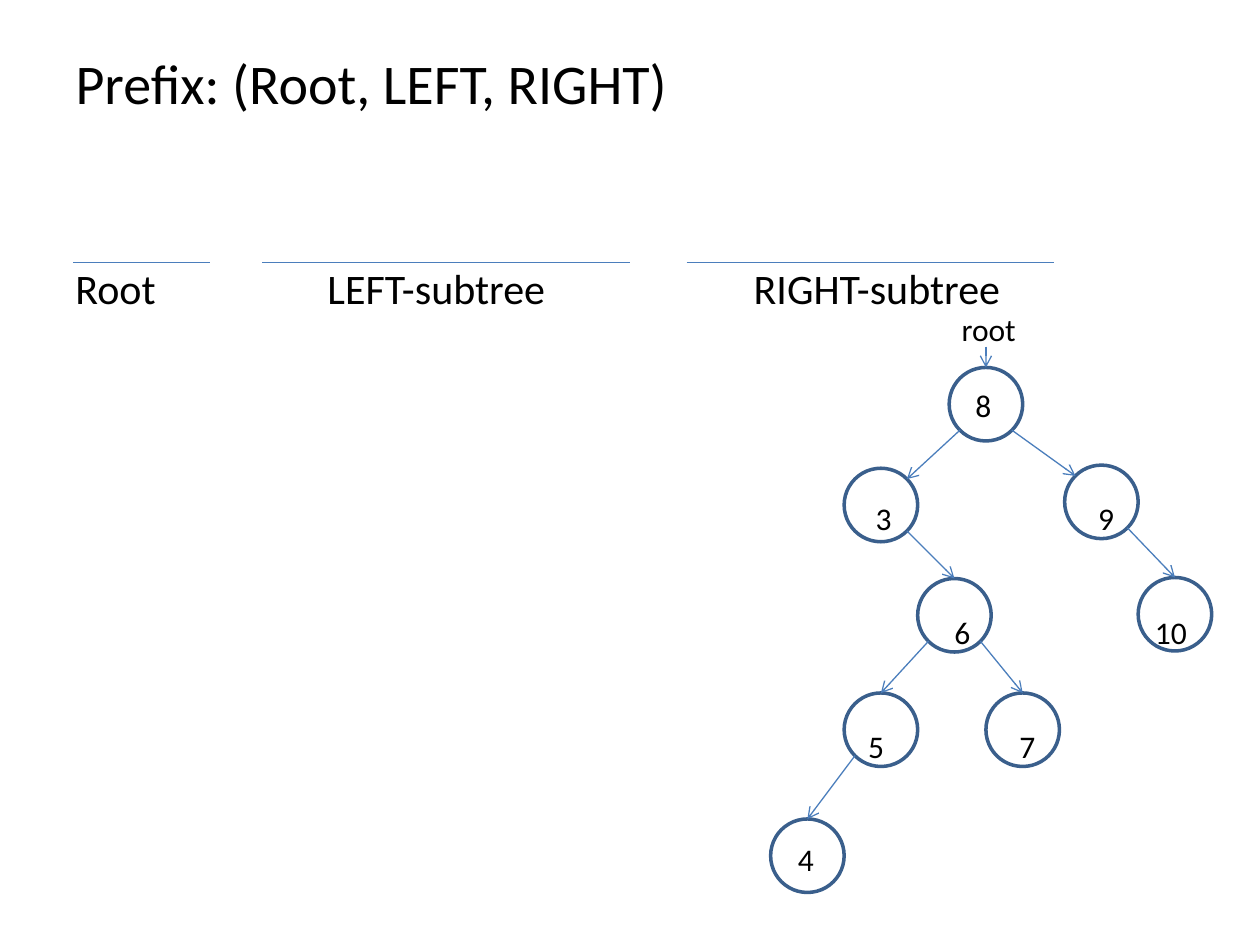
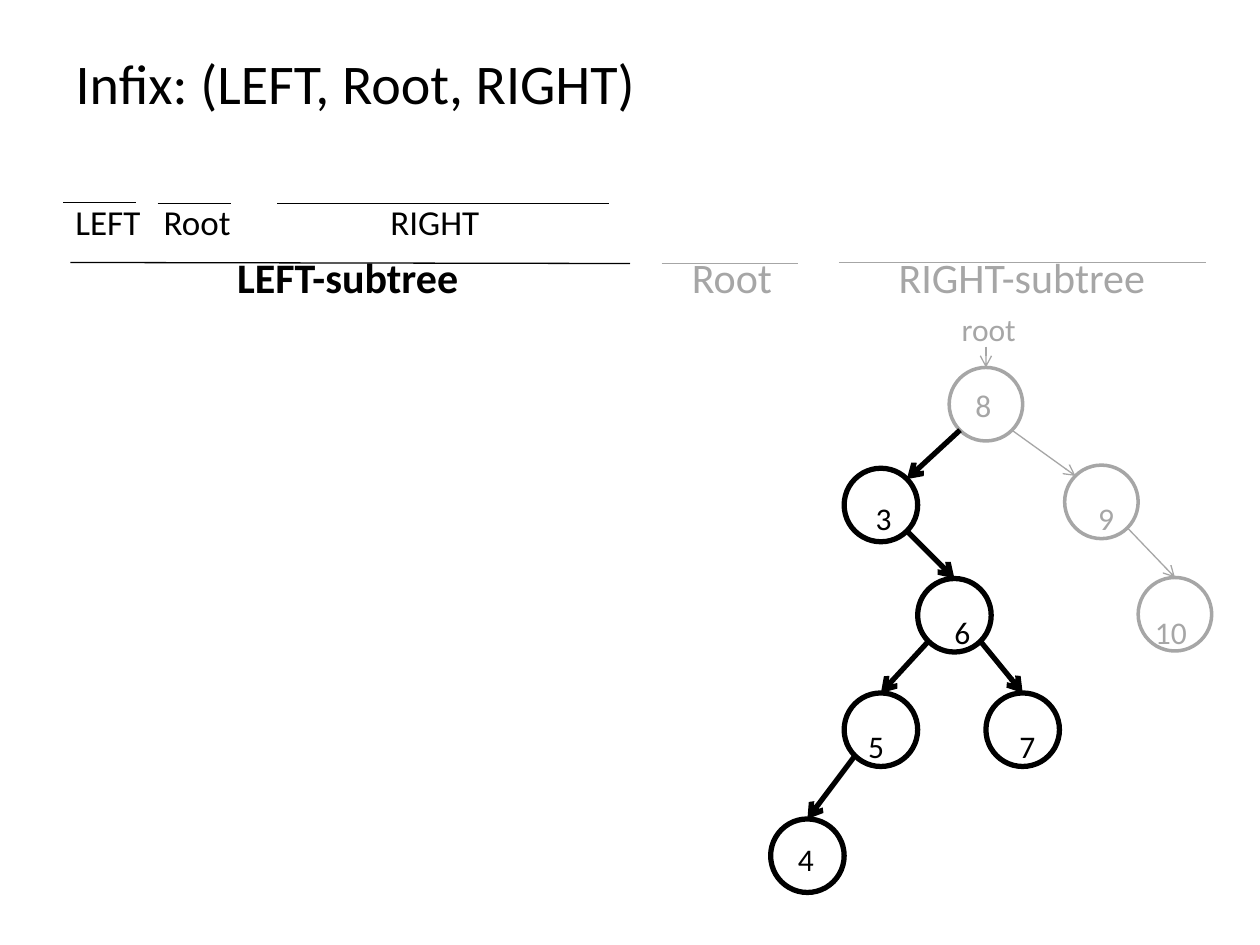
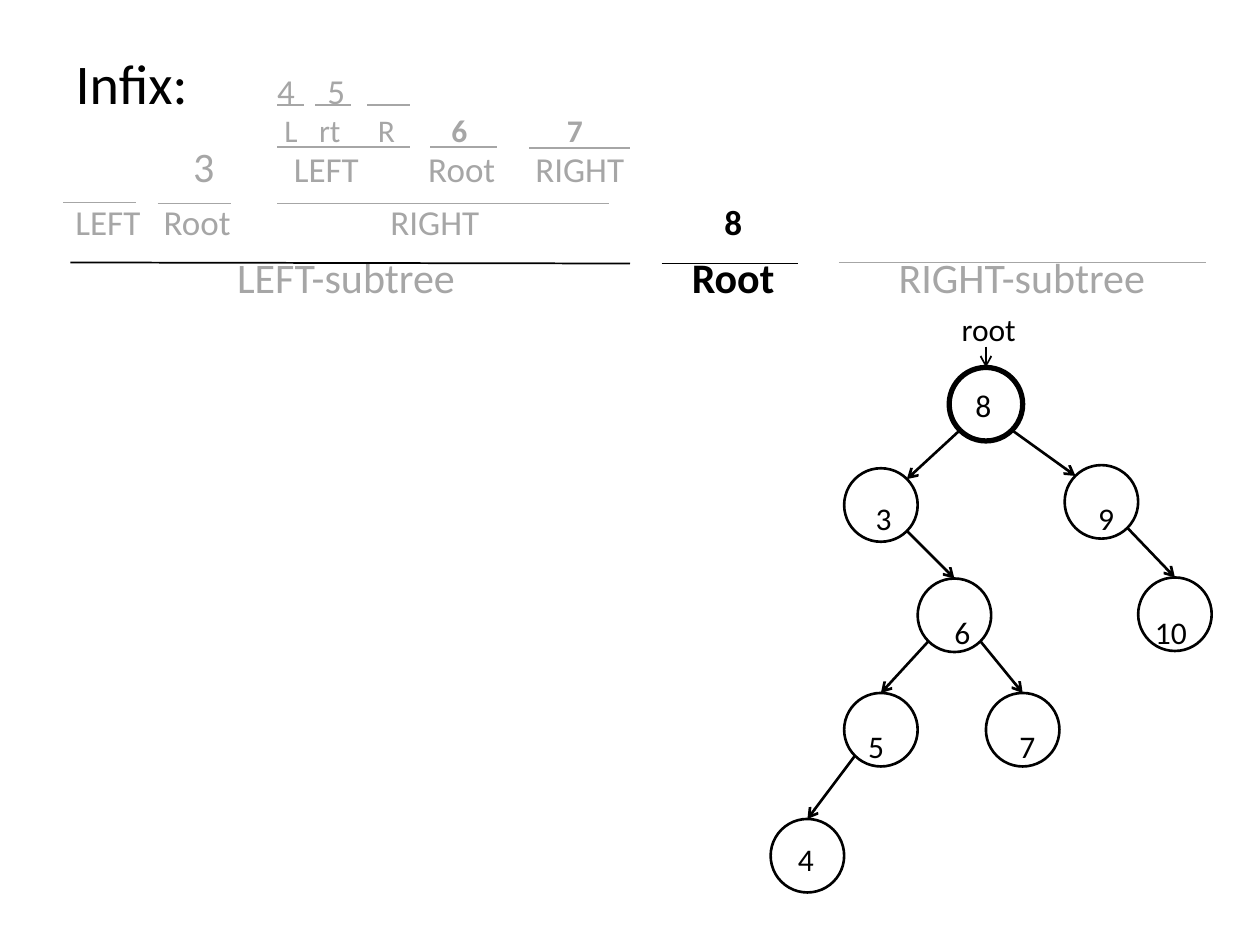
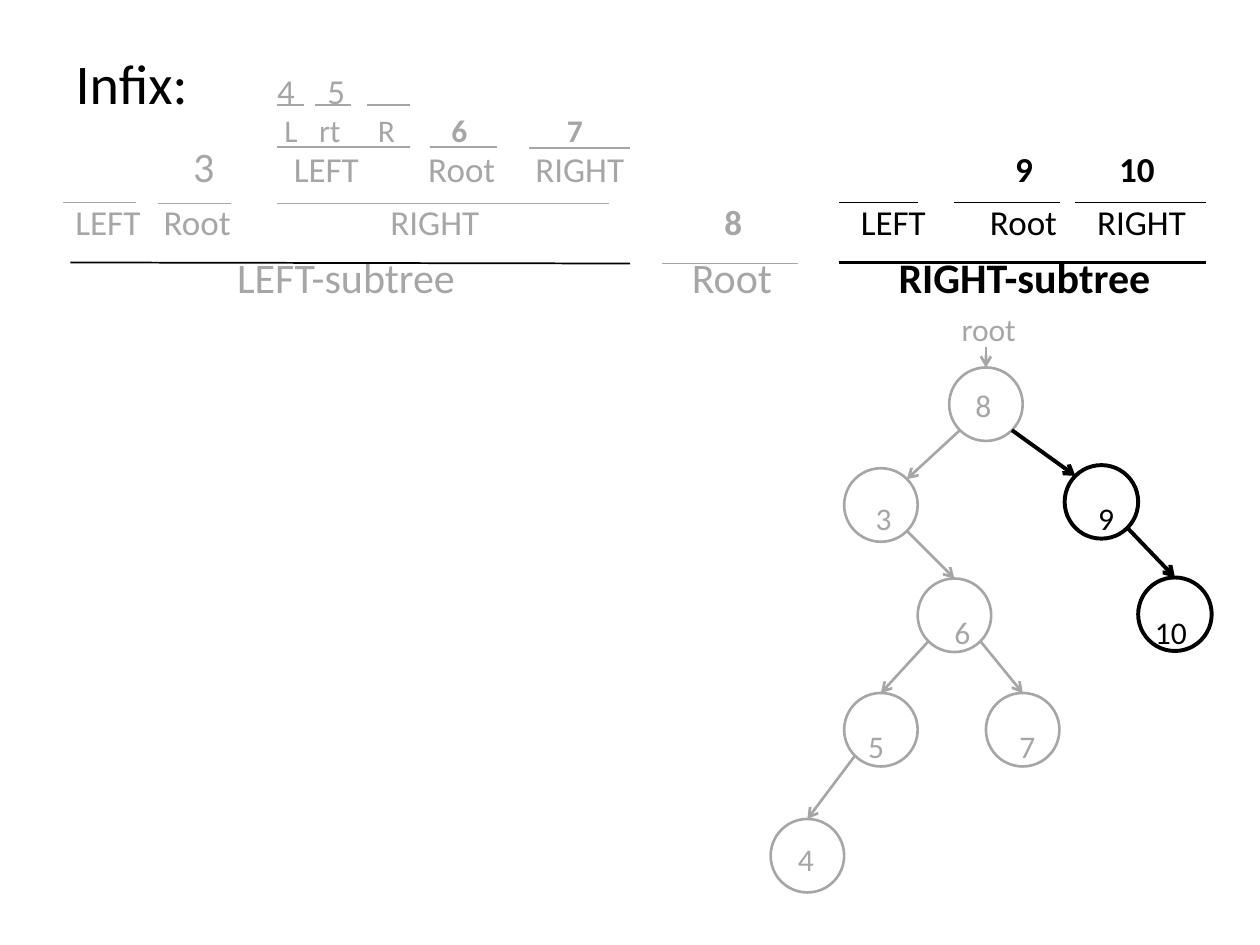
import pptx
import pptx.util
import pptx.dml.color
import pptx.enum.shapes
import pptx.enum.text
import pptx.oxml.ns
import lxml.etree

Pt = pptx.util.Pt
qn = pptx.oxml.ns.qn
hues = {"black": "000000", "gray": "A6A6A6", "ring": "3A5F8C", "edge": "4B7EBC"}
inks = {"k": "black", "g": "gray"}

deck = pptx.Presentation()
deck.slide_width = pptx.util.Inches(10)
deck.slide_height = pptx.util.Inches(7.5)
unit = deck.slide_width // 120


def write(frame, text, size=18, tabs=(0,), style="k", gap=0):
    first = not frame.text
    para = frame.paragraphs[0] if first else frame.add_paragraph()
    if any(tabs):
        stops = lxml.etree.SubElement(para._p.get_or_add_pPr(), qn("a:tabLst"))
    for word, tab, mark in zip(text.split("|"), tabs, style):
        if tab:
            lxml.etree.SubElement(stops, qn("a:tab"), pos=str(round(tab * unit)), algn="l")
        run = para.add_run()
        run.text = "\t" + word if tab else word
        run.font.name = "Calibri"
        run.font.size = Pt(size)
        run.font.bold = mark.isupper()
        run.font.color.rgb = pptx.dml.color.RGBColor.from_string(hues[inks[mark.lower()]])
    para.alignment = pptx.enum.text.PP_ALIGN.LEFT
    para.space_before = Pt(0 if first else gap)
    frame.word_wrap = True
    frame.auto_size = pptx.enum.text.MSO_AUTO_SIZE.NONE
    frame.vertical_anchor = pptx.enum.text.MSO_ANCHOR.TOP


def draw(slide, ends, hue, width, arrow=False):
    line = slide.shapes.add_connector(
        pptx.enum.shapes.MSO_CONNECTOR.STRAIGHT, *[round(n * unit) for n in ends])
    line.line.color.rgb = pptx.dml.color.RGBColor.from_string(hues[hue])
    line.line.width = Pt(width)
    if arrow:
        lxml.etree.SubElement(line.line._get_or_add_ln(), qn("a:tailEnd"), type="arrow")
    lxml.etree.SubElement(line._element.spPr, qn("a:effectLst"))


size = 7
bend = 2.47
nodes = {
    8: (90.4, 35), 3: (80.4, 44.6), 9: (101.4, 44.3), 6: (87.4, 55.1),
    5: (80.4, 66), 7: (93.9, 66), 10: (108.4, 55), 4: (73.4, 78),
}
edges = [(8, 3), (8, 9), (3, 6), (9, 10), (6, 7), (6, 5), (5, 4)]
tree = [
    ("root", (19.7,), (8,), 0), ("8", (21,), (8,), 22), ("3|9", (11.5, 32.7), (3, 9), 43.3),
    ("6|10", (19, 38.1), (6, 10), 43.3), ("5|7", (10.8, 25.2), (5, 7), 43.3),
    ("4", (4.1,), (4,), 43.3),
]

bars = {
    "prefix": [(7, 25, 20, 25), (25, 25, 60, 25), (65.4, 25, 100.4, 25)],
    "root": [(63, 25.1, 76, 25.1)],
    "left": [(6.7, 25, 60, 25.1)],
    "right": [(79.9, 25, 114.9, 25)],
    "left parts": [(6, 19.3, 13, 19.3), (15, 19.4, 22, 19.4), (26.4, 19.4, 58, 19.4)],
    "deep parts": [
        (26.4, 14, 39, 14), (41, 14, 47.3, 14), (50.4, 14.1, 60, 14.1),
        (26.4, 10, 29, 10), (30, 10, 33.4, 10), (35, 10, 39, 10)],
    "right parts": [(79.9, 19.3, 87.4, 19.3), (90.9, 19.3, 101, 19.3), (102.4, 19.3, 114.9, 19.3)],
}

high = dict(size=20, tabs=(11.2, 20.8, 33.6, 43.8, 89.5, 99.4))
mid = dict(size=20, tabs=(0, 8.4, 30, 61.8, 74.8, 87.1, 97.3), gap=5.5)
low = dict(size=24, tabs=(15.4, 58.7, 78.4), gap=5)
wide = dict(size=24, tabs=(0, 24, 64.6))
trio = "LEFT-subtree|Root|RIGHT-subtree"

views = [
    dict(title="Prefix: (Root, LEFT, RIGHT)", span=112, top=24.4, deep=False,
         rows=[("Root|LEFT-subtree|RIGHT-subtree", "kkk", wide)],
         bars=[("prefix", "edge", 0.75)],
         ring=("ring", 2), edge=("edge", 0.75), entry=0.75, ink="k", hot=(), bold=2),
    dict(title="Infix: (LEFT, Root, RIGHT)", span=112, top=18.5, deep=False,
         rows=[("LEFT|Root|RIGHT", "kkk", mid), (trio, "Kgg", low)],
         bars=[("root", "gray", 0.75), ("left", "black", 0.75), ("right", "gray", 0.75),
               ("left parts", "black", 0.75)],
         ring=("gray", 2), edge=("gray", 0.75), entry=0.75, ink="g",
         hot=(3, 6, 5, 7, 4), bold=3),
    dict(title="Infix:", span=18, top=12.8, deep=True,
         rows=[("3|LEFT|Root|RIGHT", "gggg", high), ("LEFT|Root|RIGHT|8", "gggK", mid),
               (trio, "gKg", low)],
         bars=[("root", "black", 0.75), ("left", "black", 1), ("right", "gray", 0.75),
               ("left parts", "gray", 0.75), ("deep parts", "gray", 0.75)],
         ring=("black", 1.5), edge=("black", 1.5), entry=1, ink="k", hot=(8,), bold=3),
    dict(title="Infix:", span=18, top=12.8, deep=True,
         rows=[("3|LEFT|Root|RIGHT|9|10", "ggggKK", high),
               ("LEFT|Root|RIGHT|8|LEFT|Root|RIGHT", "gggGkkk", mid), (trio, "ggK", low)],
         bars=[("root", "gray", 0.75), ("left", "black", 1), ("right", "black", 2.25),
               ("left parts", "gray", 0.75), ("deep parts", "gray", 0.75),
               ("right parts", "black", 0.75)],
         ring=("gray", 1.5), edge=("gray", 1.5), entry=1.5, ink="g", hot=(9, 10), bold=2.25),
]

for view in views:
    slide = deck.slides.add_slide(deck.slide_layouts[5])
    title = slide.shapes.title
    title.left, title.top, title.width, title.height = [
        round(n * unit) for n in (6, 4, view["span"], 8)]
    write(title.text_frame, view["title"], size=32)

    spot = (6, view["top"], 112, 38.5 - view["top"])
    head = slide.shapes.add_textbox(*[round(n * unit) for n in spot]).text_frame
    for text, style, form in view["rows"]:
        write(head, text, style=style, **form)
    if view["deep"]:
        head.paragraphs[0].runs[0].font.size = Pt(24)

    hot = view["hot"]
    for node, (left, top) in nodes.items():
        disc = slide.shapes.add_shape(
            pptx.enum.shapes.MSO_SHAPE.OVAL, *[round(n * unit) for n in (left, top, size, size)])
        hue, width = ("black", view["bold"]) if node in hot else view["ring"]
        disc.shadow.inherit = False
        disc.fill.background()
        disc.line.color.rgb = pptx.dml.color.RGBColor.from_string(hues[hue])
        disc.line.width = Pt(width)

    for start, end in edges:
        (x, y), (u, v) = [(a + size / 2, b + size / 2) for a, b in (nodes[start], nodes[end])]
        side = bend if u > x else -bend
        tip = (u - side, v - bend) if start == 8 else (u, v - size / 2)
        hue, width = ("black", view["bold"]) if end in hot else view["edge"]
        draw(slide, (x + side, y + bend, *tip), hue, width, arrow=True)
    draw(slide, (93.9, 33, 93.9, 35), view["edge"][0], view["entry"], arrow=True)

    spot = (70.7, 28.9, 44.5, 55.7)
    label = slide.shapes.add_textbox(*[round(n * unit) for n in spot]).text_frame
    for text, tabs, keys, gap in tree:
        style = "".join("k" if key in hot else view["ink"] for key in keys)
        write(label, text, tabs=tabs, style=style, gap=gap)

    for name, hue, width in view["bars"]:
        for ends in bars[name]:
            draw(slide, ends, hue, width)
    if view["deep"]:
        spot = (25.2, 6, 37.8, 8.8)
        parts = slide.shapes.add_textbox(*[round(n * unit) for n in spot]).text_frame
        write(parts, "4|5", size=20, tabs=(0, 4.8), style="gg")
        write(parts, "L|rt|R|6|7", tabs=(0.7, 4, 9.6, 16.6, 27.6), style="gggGG")

deck.save("out.pptx")
